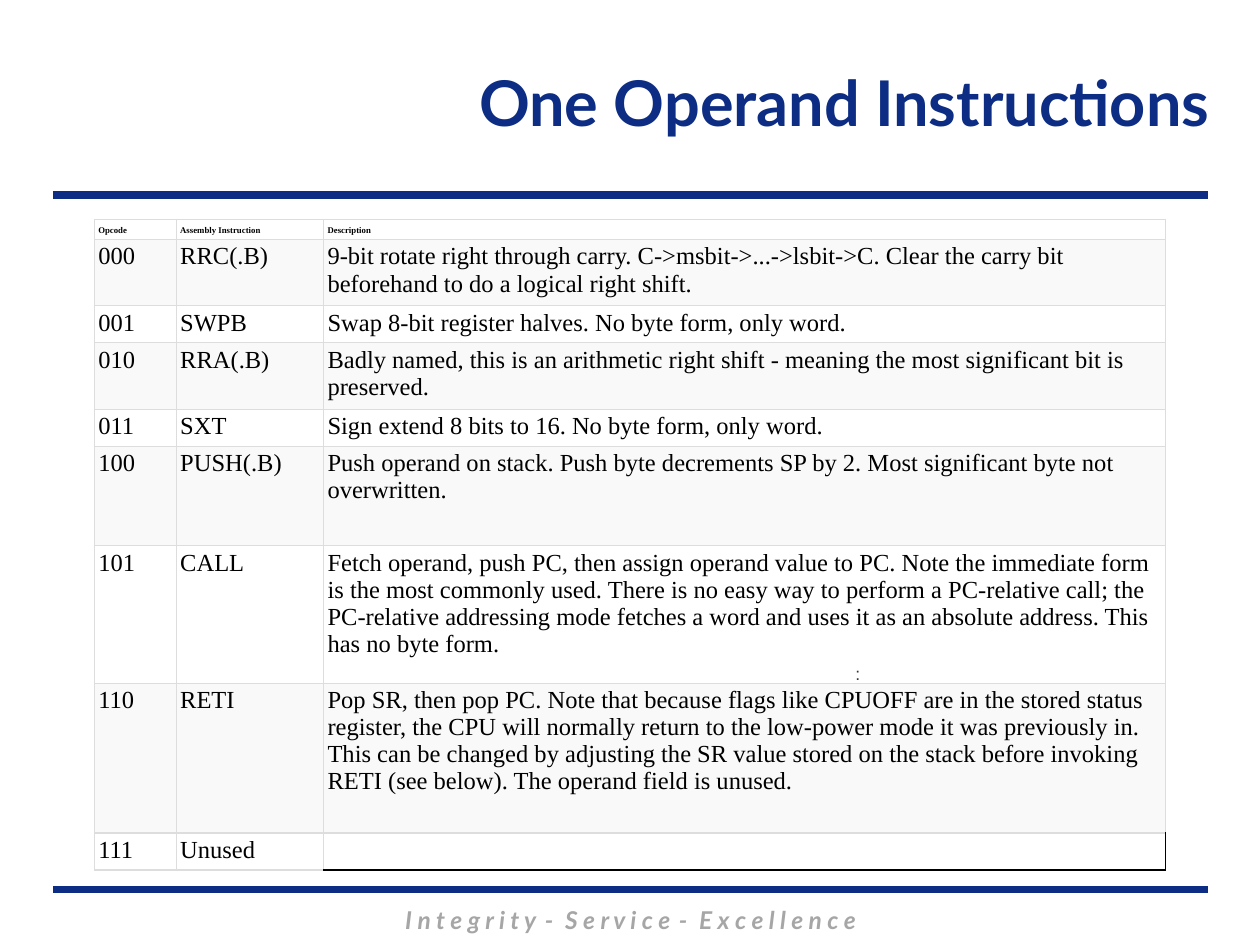
from lxml import etree
from pptx import Presentation
from pptx.dml.color import RGBColor
from pptx.enum.shapes import MSO_CONNECTOR
from pptx.enum.text import MSO_ANCHOR, MSO_AUTO_SIZE, PP_ALIGN
from pptx.oxml.ns import qn
from pptx.util import Inches, Pt

LEFT, CENTER, RIGHT = PP_ALIGN.LEFT, PP_ALIGN.CENTER, PP_ALIGN.RIGHT
TOP, MIDDLE, BOTTOM = MSO_ANCHOR.TOP, MSO_ANCHOR.MIDDLE, MSO_ANCHOR.BOTTOM
STRAIGHT = MSO_CONNECTOR.STRAIGHT
NO_AUTOFIT = MSO_AUTO_SIZE.NONE
TITLE_ONLY = 5

COLORS = {
    "navy": "0C2D83", "motto": "A6A6A6", "mark": "333333", "text": "000000",
    "white": "FFFFFF", "band": "F9F9F9", "grid": "DDDDDD",
}
COLUMN_WIDTHS = [0.65, 1.17, 6.68]
ROW_HEIGHTS = [0.16, 0.47, 0.26, 0.47, 0.26, 0.79, 1.09, 1.19, 0.16]
INSTRUCTIONS = [
    ("Opcode", "Assembly Instruction", "Description"),
    ("000", "RRC(.B)", "9-bit rotate right through carry. C->msbit->...->lsbit->C. "
     "Clear the carry bit beforehand to do a logical right shift."),
    ("001", "SWPB", "Swap 8-bit register halves. No byte form, only word."),
    ("010", "RRA(.B)", "Badly named, this is an arithmetic right shift - meaning "
     "the most significant bit is preserved."),
    ("011", "SXT", "Sign extend 8 bits to 16. No byte form, only word."),
    ("100", "PUSH(.B)", "Push operand on stack. Push byte decrements SP by 2. "
     "Most significant byte not overwritten."),
    ("101", "CALL", "Fetch operand, push PC, then assign operand value to PC. "
     "Note the immediate form is the most commonly used. There is no easy way to "
     "perform a PC-relative call; the PC-relative addressing mode fetches a word "
     "and uses it as an absolute address. This has no byte form."),
    ("110", "RETI", "Pop SR, then pop PC. Note that because flags like CPUOFF are "
     "in the stored status register, the CPU will normally return to the low-power "
     "mode it was previously in. This can be changed by adjusting the SR value "
     "stored on the stack before invoking RETI (see below). The operand field is "
     "unused."),
    ("111", "Unused", ""),
]


def rgb(name):
    return RGBColor.from_string(COLORS[name])


def add_text(para, text, font="Times New Roman", size=14, color="text",
             bold=False, italic=False, align=LEFT, spacing=0):
    """Append one formatted span; spacing is extra points per letter."""
    para.alignment = align
    span = para.add_run()
    span.text = text
    span.font.name = font
    span.font.size = Pt(size)
    span.font.bold = bold
    span.font.italic = italic
    span.font.color.rgb = rgb(color)
    if spacing:
        span.font._element.set("spc", str(round(spacing * 100)))


def add_box(slide, left, top, width, height, wrap=True):
    box = slide.shapes.add_textbox(Inches(left), Inches(top),
                                   Inches(width), Inches(height))
    box.text_frame.word_wrap = wrap
    return box.text_frame.paragraphs[0]


def add_rule(slide, y):
    rule = slide.shapes.add_connector(STRAIGHT, Inches(0.42), Inches(y),
                                      Inches(9.59), Inches(y))
    rule.line.color.rgb = rgb("navy")
    rule.line.width = Pt(4.5)
    etree.SubElement(rule._element.spPr, qn("a:effectLst"))


def set_borders(cell, **colors):
    """Draw 0.75 pt cell borders; each keyword is a side: L, R, T or B."""
    properties = cell._tc.get_or_add_tcPr()
    for position, (side, color) in enumerate(colors.items()):
        line = etree.Element(qn(f"a:ln{side}"), w=str(Pt(0.75)))
        fill = etree.SubElement(line, qn("a:solidFill"))
        etree.SubElement(fill, qn("a:srgbClr"), val=COLORS[color])
        properties.insert(position, line)


def fill_cell(cell, text, header, banded):
    cell.margin_left = cell.margin_right = Inches(0.03)
    cell.margin_top = cell.margin_bottom = Inches(0.03)
    cell.vertical_anchor = BOTTOM if header else TOP
    para = cell.text_frame.paragraphs[0]
    if text:
        add_text(para, text, size=5 if header else 14, bold=header)
        cell.fill.solid()
        cell.fill.fore_color.rgb = rgb("band" if banded else "white")
    else:
        # A small end mark keeps the empty cell from stretching its row
        etree.SubElement(para._p, qn("a:endParaRPr"), sz="1400")
        cell.fill.background()
    outer = "grid" if text else "text"
    set_borders(cell, L="grid", R=outer, T="grid", B=outer)


def add_instruction_table(slide):
    frame = slide.shapes.add_table(len(ROW_HEIGHTS), len(COLUMN_WIDTHS),
                                   Inches(0.75), Inches(1.74),
                                   Inches(8.5), Inches(sum(ROW_HEIGHTS)))
    table = frame.table
    table.first_row = table.horz_banding = False
    for column, width in zip(table.columns, COLUMN_WIDTHS):
        column.width = Inches(width)
    for index, (row, height) in enumerate(zip(table.rows, ROW_HEIGHTS)):
        row.height = Inches(height)
        for cell, text in zip(row.cells, INSTRUCTIONS[index]):
            fill_cell(cell, text, header=index == 0, banded=index % 2 == 1)


def set_title(slide, text):
    title = slide.shapes.title
    title.left, title.top = Inches(2), Inches(0.2)
    title.width, title.height = Inches(7.7), Inches(1.2)
    title.text_frame.auto_size = NO_AUTOFIT
    title.text_frame.vertical_anchor = MIDDLE
    add_text(title.text_frame.paragraphs[0], text, font="Lato", size=36,
             color="navy", bold=True, align=RIGHT)


def add_motto(slide, words):
    para = add_box(slide, 1.42, 7.13, 7.17, 0.34)
    style = dict(font="Lato", color="motto", bold=True, italic=True, align=CENTER)
    for index, word in enumerate(words):
        if index:
            add_text(para, " - ", spacing=1.8, **style)
        add_text(para, " ".join(word), **style)


def main():
    deck = Presentation()
    deck.slide_width, deck.slide_height = Inches(10), Inches(7.5)
    slide = deck.slides.add_slide(deck.slide_layouts[TITLE_ONLY])

    # Frame of the slide
    for y in (7.06, 1.55):
        add_rule(slide, y)
    add_motto(slide, ["Integrity", "Service", "Excellence"])

    # Content
    set_title(slide, "One Operand Instructions")
    add_instruction_table(slide)
    mark = add_box(slide, 6.69, 5.21, 0.24, 0.57, wrap=False)
    add_text(mark, ":", font="Arial", size=10, color="mark")

    deck.save("out.pptx")


if __name__ == "__main__":
    main()
